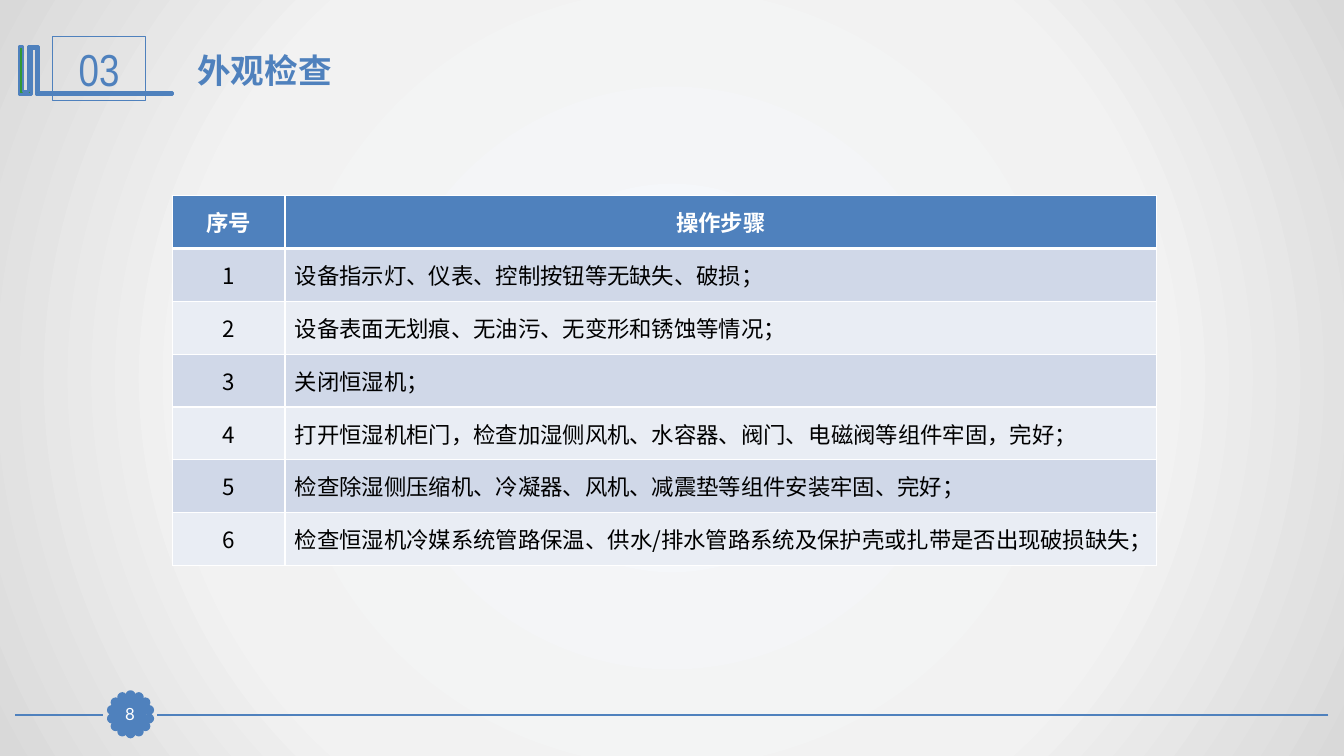
from dataclasses import dataclass
from math import cos, pi, sin

from lxml import etree
from pptx import Presentation
from pptx.dml.color import RGBColor
from pptx.enum.shapes import MSO_CONNECTOR, MSO_SHAPE
from pptx.enum.text import MSO_ANCHOR, PP_ALIGN
from pptx.oxml import parse_xml
from pptx.oxml.ns import nsdecls, qn
from pptx.util import Cm, Pt

RECTANGLE, OVAL = MSO_SHAPE.RECTANGLE, MSO_SHAPE.OVAL
STRAIGHT = MSO_CONNECTOR.STRAIGHT
MIDDLE = MSO_ANCHOR.MIDDLE
LEFT, CENTER = PP_ALIGN.LEFT, PP_ALIGN.CENTER

BLUE = RGBColor(0x4F, 0x81, 0xBD)
GREEN = RGBColor(0x33, 0x99, 0x33)
WHITE = RGBColor(0xFF, 0xFF, 0xFF)
BLACK = RGBColor(0x00, 0x00, 0x00)
BAND_DARK = RGBColor(0xD0, 0xD8, 0xE8)
BAND_LIGHT = RGBColor(0xE9, 0xED, 0xF4)
BACKGROUND_STOPS = {
    0: RGBColor(0xF6, 0xF9, 0xFC),
    63: RGBColor(0xF2, 0xF2, 0xF2),
    100: RGBColor(0xD9, 0xD9, 0xD9),
}
LATO, NOTO, NARROW = "Lato", "Noto Sans CJK SC", "Arial Narrow"


@dataclass
class TextFormat:
    name: str
    size: float
    color: RGBColor
    bold: bool = False


@dataclass
class Box:
    left: float
    top: float
    width: float
    height: float

    def lengths(self) -> tuple:
        return Cm(self.left), Cm(self.top), Cm(self.width), Cm(self.height)


@dataclass
class FooterLine:
    start: float
    end: float


@dataclass
class Label:
    box: Box
    text: str
    style: TextFormat
    fill: RGBColor | None
    margin: float


FOOTER_Y = 18.01
FOOTER_LINES = [FooterLine(33.48, 3.96), FooterLine(2.59, 0.38)]
PETAL_COUNT, PETAL_SIZE, PETAL_ORBIT = 14, 0.18, 0.48
BADGE_X, BADGE_Y = 3.29, 18.0

# Outline of the bracket beside the section number
BRACKET = [
    (0.94, 1.17), (0.97, 1.17), (0.97, 2.34), (4.34, 2.34), (4.34, 2.39),
    (0.91, 2.39), (0.91, 1.22), (0.79, 1.22), (0.79, 2.39), (0.48, 2.39),
    (0.48, 1.17), (0.58, 1.17), (0.58, 2.31), (0.71, 2.31), (0.71, 1.17),
]
LABELS = [
    Label(Box(1.32, 0.91, 2.36, 1.63), "03", TextFormat(NARROW, 32, BLUE), None, 0.13),
    Label(Box(2.87, 17.6, 0.81, 0.79), "8", TextFormat(LATO, 12, WHITE), BLUE, 0),
]
TITLE_BOX = Box(4.72, 1.12, 24.61, 1.27)
TABLE_BOX = Box(4.34, 4.93, 24.81, 9.32)
COLUMN_WIDTHS = (2.84, 21.97)
HEADINGS = ("序号", "操作步骤")
# Parts of a step alternate between the two fonts
STEPS = [
    ("设备指示灯、仪表、控制按钮等无缺失、破损；",),
    ("设备表面无划痕、无油污、无变形和锈蚀等情况；",),
    ("关闭恒湿机；",),
    ("打开恒湿机柜门，检查加湿侧风机、水容器、阀门、", "电磁阀", "等组件牢固，完好；"),
    ("检查除湿侧压缩机、冷凝器、风机、减震垫等组件安装牢固、完好；",),
    ("检查恒湿机冷媒系统管路保温、", "供水/排水管路系统", "及保护壳或扎带是否出现破损缺失；"),
]


def add_run(paragraph, text: str, style: TextFormat) -> None:
    run = paragraph.add_run()
    run.text = text
    values = {"name": style.name, "size": Pt(style.size), "bold": style.bold}
    for attribute, value in values.items():
        setattr(run.font, attribute, value)
    run.font.color.rgb = style.color


def paint(shape, fill: RGBColor | None, line_width: float) -> None:
    shape.shadow.inherit = False
    if fill is None:
        shape.fill.background()
    else:
        shape.fill.solid()
        shape.fill.fore_color.rgb = fill
    shape.line.color.rgb = BLUE
    shape.line.width = Pt(line_width)


def set_background(slide) -> None:
    slide.background.fill.gradient()
    gradient = slide.background._cSld.find(".//" + qn("a:gradFill"))
    stops = "".join(
        f'<a:gs pos="{position * 1000}"><a:srgbClr val="{color}"/></a:gs>'
        for position, color in BACKGROUND_STOPS.items()
    )
    radial = parse_xml(
        f'<a:gradFill {nsdecls("a")} rotWithShape="1"><a:gsLst>{stops}</a:gsLst>'
        '<a:path path="circle"><a:fillToRect l="50000" t="50000" r="50000" b="50000"/>'
        "</a:path></a:gradFill>"
    )
    gradient.getparent().replace(gradient, radial)


def add_footer_line(shapes, line: FooterLine) -> None:
    connector = shapes.add_connector(
        STRAIGHT, Cm(line.start), Cm(FOOTER_Y), Cm(line.end), Cm(FOOTER_Y)
    )
    connector.line.color.rgb = BLUE
    connector.line.width = Pt(1.25)
    etree.SubElement(connector._element.spPr, qn("a:effectLst"))


def add_petals(shapes) -> None:
    group = shapes.add_group_shape()
    for index in range(PETAL_COUNT):
        angle = 2 * pi * index / PETAL_COUNT
        left = BADGE_X + PETAL_ORBIT * sin(angle) - PETAL_SIZE / 2
        top = BADGE_Y - PETAL_ORBIT * cos(angle) - PETAL_SIZE / 2
        box = Box(left, top, PETAL_SIZE, PETAL_SIZE)
        paint(group.shapes.add_shape(OVAL, *box.lengths()), BLUE, 2)


def add_bracket(shapes) -> None:
    first, *rest = [(Cm(x), Cm(y)) for x, y in BRACKET]
    builder = shapes.build_freeform(*first)
    builder.add_line_segments(rest, close=True)
    paint(builder.convert_to_shape(), GREEN, 2)


def add_label(shapes, label: Label) -> None:
    shape = shapes.add_shape(RECTANGLE, *label.box.lengths())
    paint(shape, label.fill, 0.75)
    frame = shape.text_frame
    frame.vertical_anchor = MIDDLE
    for side in ("left", "top", "right", "bottom"):
        setattr(frame, f"margin_{side}", Cm(label.margin))
    frame.paragraphs[0].alignment = CENTER
    add_run(frame.paragraphs[0], label.text, label.style)


def set_title(title, text: str) -> None:
    for attribute, value in zip(("left", "top", "width", "height"), TITLE_BOX.lengths()):
        setattr(title, attribute, value)
    title.text_frame.vertical_anchor = MIDDLE
    paragraph = title.text_frame.paragraphs[0]
    paragraph.alignment = LEFT
    add_run(paragraph, text, TextFormat(LATO, 24, BLUE, True))


def fill_cell(cell, parts: tuple, fonts: tuple, alignment, row: int) -> None:
    header = row == 0
    cell.vertical_anchor = MIDDLE
    paragraph = cell.text_frame.paragraphs[0]
    paragraph.alignment = alignment
    for index, part in enumerate(parts):
        color = WHITE if header else BLACK
        add_run(paragraph, part, TextFormat(fonts[index % len(fonts)], 16, color, header))
    cell.fill.solid()
    cell.fill.fore_color.rgb = BLUE if header else (BAND_LIGHT, BAND_DARK)[row % 2]
    widths = {"L": 1, "R": 1, "T": 3 if row == 1 else 1, "B": 3 if header else 1}
    for index, (side, width) in enumerate(widths.items()):
        border = parse_xml(
            f'<a:ln{side} {nsdecls("a")} w="{Pt(width)}"><a:solidFill>'
            f'<a:srgbClr val="{WHITE}"/></a:solidFill></a:ln{side}>'
        )
        cell._tc.get_or_add_tcPr().insert(index, border)


def add_steps_table(shapes) -> None:
    row_count = len(STEPS) + 1
    table = shapes.add_table(row_count, len(HEADINGS), *TABLE_BOX.lengths()).table
    for column, width in zip(table.columns, COLUMN_WIDTHS):
        column.width = Cm(width)
    for row in table.rows:
        row.height = Cm(TABLE_BOX.height / row_count)
    for column, heading in enumerate(HEADINGS):
        fill_cell(table.cell(0, column), (heading,), (LATO,), CENTER, 0)
    for row, parts in enumerate(STEPS, start=1):
        fill_cell(table.cell(row, 0), (str(row),), (NOTO,), CENTER, row)
        fill_cell(table.cell(row, 1), parts, (LATO, NOTO), LEFT, row)


def main() -> None:
    presentation = Presentation()
    presentation.slide_width, presentation.slide_height = Cm(33.87), Cm(19.05)
    slide = presentation.slides.add_slide(presentation.slide_layouts[5])
    shapes = slide.shapes
    set_background(slide)

    # Footer with page badge, then section number
    for line in FOOTER_LINES:
        add_footer_line(shapes, line)
    add_petals(shapes)
    add_bracket(shapes)
    for label in LABELS:
        add_label(shapes, label)

    # Title and steps
    set_title(shapes.title, "外观检查")
    add_steps_table(shapes)
    presentation.save("out.pptx")


if __name__ == "__main__":
    main()
